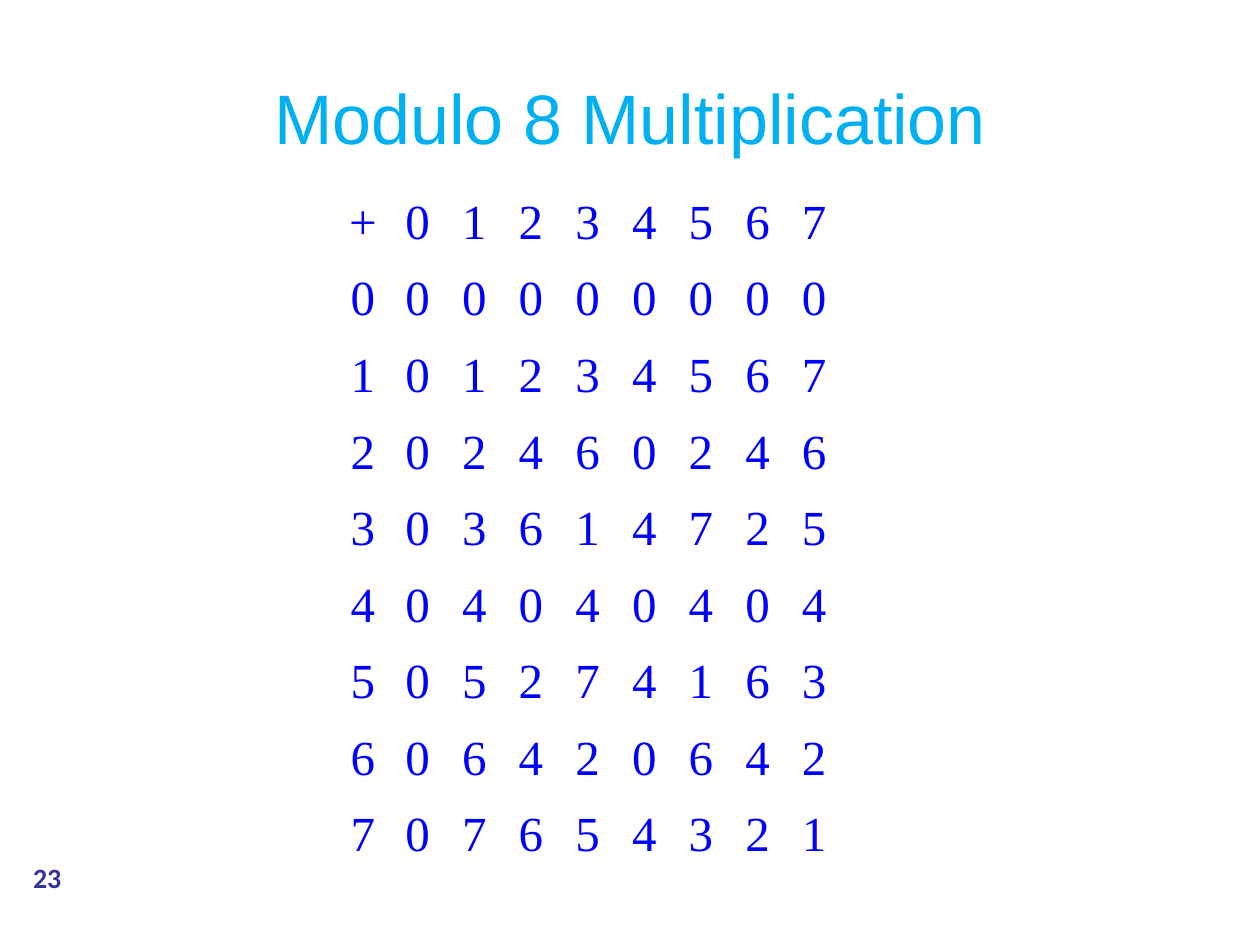
from dataclasses import dataclass

from pptx import Presentation
from pptx.dml.color import RGBColor
from pptx.enum.shapes import MSO_SHAPE
from pptx.enum.text import MSO_ANCHOR, PP_ALIGN
from pptx.util import Inches, Pt


@dataclass(frozen=True)
class TextStyle:
    """Font, size, colour and weight of one kind of text."""
    font: str
    size: int
    color: str
    bold: bool = False


class Theme:
    """Colours and type sizes of the slide."""
    paper = RGBColor.from_string("FFFFFF")
    title = TextStyle("Arial", 40, "00B0F0")
    digit = TextStyle("Times New Roman", 28, "0000FF")
    page_number = TextStyle("Calibri", 16, "333399", True)


MODULUS = 8
TITLE_ONLY = 5


def write(frame, text, style):
    """Put one centred, formatted paragraph in a text frame and return it."""
    frame.text = text
    para = frame.paragraphs[0]
    para.alignment = PP_ALIGN.CENTER
    font = para.runs[0].font
    font.name, font.size, font.bold = style.font, Pt(style.size), style.bold
    font.color.rgb = RGBColor.from_string(style.color)
    return para


def add_page_number(page, box, number):
    """Draw the page number on a white ellipse that fills the box."""
    badge = page.shapes.add_shape(MSO_SHAPE.OVAL, *map(Inches, box))
    badge.shadow.inherit = False
    badge.fill.solid()
    badge.fill.fore_color.rgb = Theme.paper
    badge.line.color.rgb = Theme.paper
    badge.line.width = Pt(2)
    frame = badge.text_frame
    frame.margin_left = frame.margin_right = 0
    frame.margin_top = frame.margin_bottom = 0
    frame.vertical_anchor = MSO_ANCHOR.MIDDLE
    write(frame, str(number), Theme.page_number)


def place_title(page, box, text):
    """Move the title placeholder to the box and set its text."""
    title = page.shapes.title
    title.left, title.top, title.width, title.height = map(Inches, box)
    title.text_frame.vertical_anchor = MSO_ANCHOR.MIDDLE
    write(title.text_frame, text, Theme.title)


def product_rows(modulus):
    """Return the header row and the products modulo the given number."""
    numbers = range(modulus)
    header = ["+", *numbers]
    return [header] + [[a, *(a * b % modulus for b in numbers)] for a in numbers]


def add_product_table(page, box, modulus, label_width):
    """Fill the box with the products, using a label column and equal columns."""
    left, top, width, height = box
    rows = product_rows(modulus)
    count = len(rows)
    table = page.shapes.add_table(count, count, *map(Inches, box)).table
    table.first_row = table.horz_banding = False
    for index, column in enumerate(table.columns):
        share = (width - label_width) / modulus if index else label_width
        column.width = Inches(share)
    for row, values in zip(table.rows, rows):
        row.height = Inches(height / count)
        for cell, value in zip(row.cells, values):
            cell.fill.background()
            cell.margin_left = cell.margin_right = Inches(0.1)
            cell.margin_top, cell.margin_bottom = Inches(0.08), Inches(0.05)
            para = write(cell.text_frame, str(value), Theme.digit)
            para.line_spacing = 0.93
            para.space_before = para.space_after = Pt(3)


def build_deck():
    """Build the one-slide deck."""
    deck = Presentation()
    deck.slide_width, deck.slide_height = Inches(10), Inches(7.5)
    page = deck.slides.add_slide(deck.slide_layouts[TITLE_ONLY])
    add_page_number(page, (0, 6.8, 0.75, 0.33), 23)
    place_title(page, (0.5, 0.3, 9, 1.25), f"Modulo {MODULUS} Multiplication")
    add_product_table(page, (2.67, 1.5, 4.02, 5.47), MODULUS, label_width=0.42)
    return deck


build_deck().save("out.pptx")
